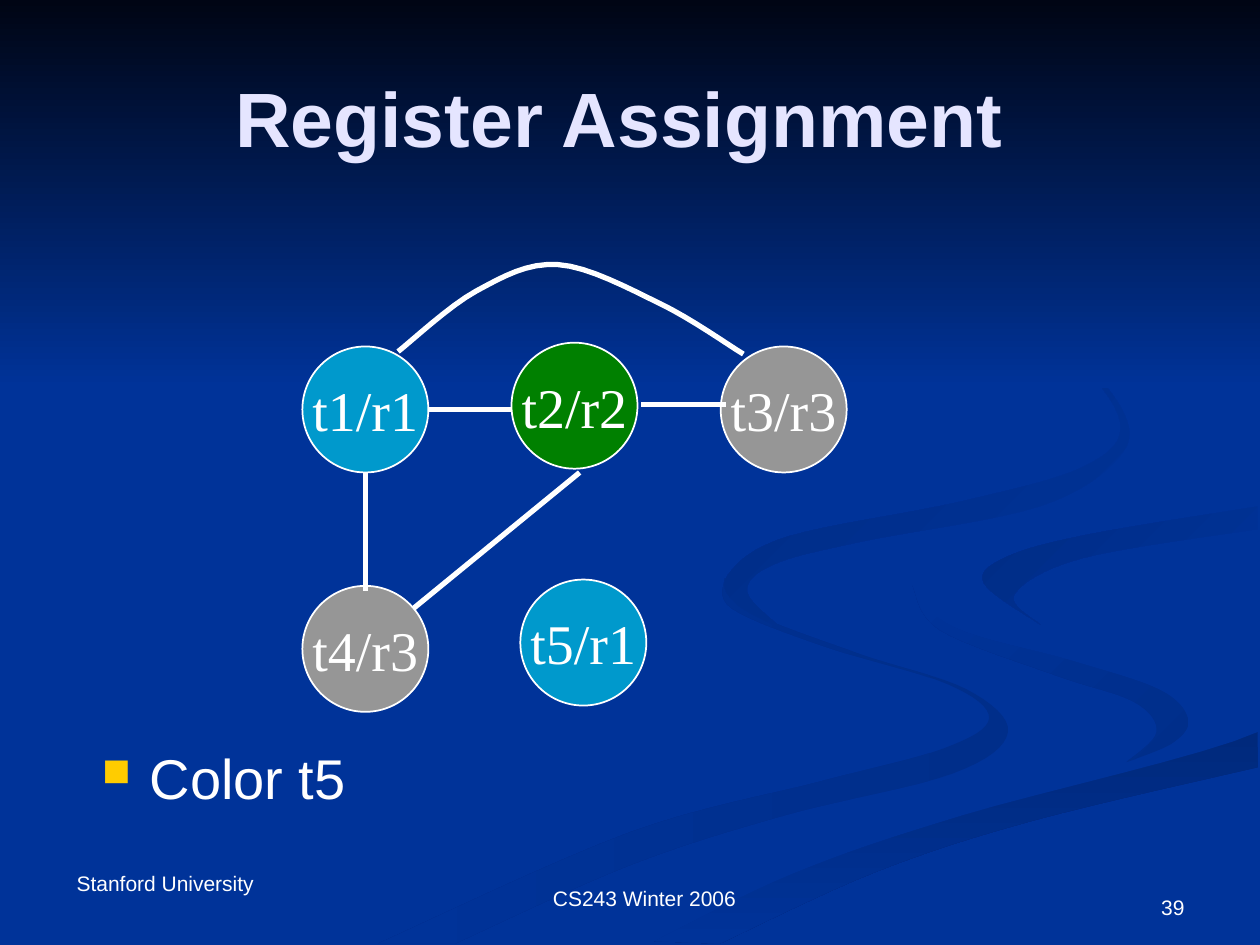
from lxml.etree import SubElement
from pptx import Presentation
from pptx.dml.color import RGBColor
from pptx.enum.shapes import MSO_CONNECTOR, MSO_SHAPE
from pptx.enum.text import MSO_ANCHOR, PP_ALIGN
from pptx.oxml.ns import qn
from pptx.util import Inches, Pt

CELL = Inches(0.1)
COLS, ROWS = 100, 75
WHITE, NAVY, LILAC, GOLD = "FFFFFF", "003399", "E5E5FF", "FFCC00"

SIZE, LEFT, STEP = 10, 24, 16.6
TONES = {"r1": "0099CC", "r2": "008000", "r3": "969696"}
NODES = {
    "t1": ("r1", LEFT, 27.5),
    "t2": ("r2", LEFT + STEP, 27.2),
    "t3": ("r3", LEFT + 2 * STEP, 27.5),
    "t4": ("r3", LEFT, 46.5),
    "t5": ("r1", 41.3, 46),
}
EDGES = [
    ("t1", (1, 0.5), "t2", (0, 0.53)),
    ("t1", (0.5, 1), "t4", (0.5, 0.04)),
    ("t2", (1.03, 0.49), "t3", (0.04, 0.46)),
    ("t4", (0.88, 0.18), "t2", (0.54, 1.03)),
]
ARCH = [(37.8, 23.1), (44.3, 21), (52.4, 24.1)]

CREST_OUT = [(76.2, 23.3), (84.3, 27.5), (89, 32.4), (88.9, 36.2), (82.5, 40.2),
             (68.3, 43), (61.4, 44.8), (59.3, 47), (62.2, 50)]
CREST_IN = [(76.2, 23.3), (84.6, 27.9), (88.9, 33.5), (86.1, 37), (76.3, 39.8),
            (62.5, 42.6), (57.8, 45.6), (58.4, 47.9), (62.2, 50)]
TAIL_OUT = [(57.5, 45.9), (59.4, 48.5), (68.2, 51.9), (76.7, 54.7), (80, 58.1),
            (75.6, 61.4), (62.3, 64.7), (49.9, 68.7), (36.1, 74.9)]
TAIL_IN = [(57.5, 45.9), (58.1, 48.3), (65.4, 51.3), (75.2, 54.3), (78.5, 57),
           (74.9, 59.4), (65.2, 62), (49.9, 66.1), (30, 74.9)]
FOLD_OUT = [(72.4, 46.4), (75.8, 49.8), (85, 52.4), (92, 54.7), (94.3, 57),
            (93.2, 58.9), (89.4, 60.5)]
FOLD_IN = [(72.4, 46.4), (74.6, 50), (83.8, 53.6), (90, 55.7), (91.8, 58.1),
           (89.4, 60.5)]
SHORE = [(51.9, 74.7), (63, 69.3), (76.4, 64.7), (99.8, 58.1)]
BEACH = [(57.1, 74.9), (69.5, 69.2), (82.1, 65.1), (99.8, 60.9)]
BAY_OUT = [(99.8, 40.2), (86.5, 42.4), (79.9, 44.2), (78.1, 46.3), (82.6, 49.6)]
BAY_IN = [(99.8, 42), (85.9, 44.3), (80.5, 47.2), (82.6, 49.6)]
BANK = [(99.8, 38.7), (83, 41.4), (74.2, 43.9), *FOLD_OUT, (74.3, 64.3), (47.7, 74.9)]
CAPE = [(99.8, 53.8), *BAY_OUT[:2:-1], *BAY_OUT[2::-1]]


def grid(*nums):
    """Turn columns and rows into slide lengths."""
    return [round(n * CELL) for n in nums]


def color(code):
    """Turn a hex string into a colour."""
    return RGBColor.from_string(code)


def paint(fill, tones, angle=0):
    """Fill with one tone or a gradient at a clockwise angle."""
    if len(tones) == 1:
        fill.solid()
        fill.fore_color.rgb = color(tones[0])
        return
    fill.gradient()
    fill.gradient_angle = -angle % 360
    for stop, tone in zip(fill.gradient_stops, tones):
        stop.color.rgb = color(tone)


def stroke(line, width):
    """Draw a white line."""
    line.color.rgb = color(WHITE)
    line.width = Pt(width)


def smooth(knots, steps=8):
    """List points on a Catmull-Rom curve through the knots."""
    ends = [knots[0], *knots, knots[-1]]
    curve = [knots[0]]
    for four in zip(ends, ends[1:], ends[2:], ends[3:]):
        for step in range(1, steps + 1):
            t = step / steps
            curve.append([
                b + t / 2 * (c - a + t * (2 * a - 5 * b + 4 * c - d
                                          + t * (3 * b - a - 3 * c + d)))
                for a, b, c, d in zip(*four)])
    return curve


def trace(slide, points, close):
    """Build a freeform through grid points."""
    first, *rest = [grid(*point) for point in points]
    pen = slide.shapes.build_freeform(*first)
    pen.add_line_segments(rest, close=close)
    shape = pen.convert_to_shape()
    shape.shadow.inherit = False
    return shape


def ribbon(slide, there, back, tones, angle=0):
    """Fill the band between two smooth edges."""
    shape = trace(slide, smooth(there) + smooth(back)[::-1], True)
    paint(shape.fill, tones, angle)
    shape.line.fill.background()


def scene(slide):
    """Draw the background from back to front."""
    paint(slide.background.fill, [NAVY])
    ribbon(slide, TAIL_OUT, TAIL_IN, ("002E8A", NAVY), 180)
    ribbon(slide, FOLD_OUT, FOLD_IN, ("002E8A", NAVY), 225)
    ribbon(slide, SHORE, BEACH, ("00297C", NAVY), 90)
    ribbon(slide, BANK, CAPE[::-1] + SHORE[::-1], [NAVY])
    ribbon(slide, BAY_OUT, BAY_IN, (NAVY, "002C85"), 225)
    ribbon(slide, CREST_OUT, CREST_IN, (NAVY, "002B81"), 225)
    sky = slide.shapes.add_shape(MSO_SHAPE.RECTANGLE, *grid(0, 0, COLS, 30.8))
    sky.shadow.inherit = False
    paint(sky.fill, ("000514", NAVY), 90)
    sky.line.fill.background()


def spot(name, share):
    """Find a place given as shares of a node's size."""
    corner = NODES[name][1:]
    return [start + SIZE * part for start, part in zip(corner, share)]


def edge(slide, tail, leave, head, reach):
    """Join two nodes with a straight line."""
    ends = grid(*spot(tail, leave), *spot(head, reach))
    link = slide.shapes.add_connector(MSO_CONNECTOR.STRAIGHT, *ends)
    stroke(link.line, 3)
    SubElement(link.element.spPr, qn("a:effectLst"))


def arc(slide):
    """Join the outer nodes of the top row over the middle one."""
    knots = [spot("t1", (0.76, 0.04)), *ARCH, spot("t3", (0.18, 0.06))]
    shape = trace(slide, smooth(knots), False)
    shape.fill.background()
    stroke(shape.line, 3)


def write(para, text, size, tone=WHITE, face="Arial", bold=False):
    """Add a run to a paragraph."""
    run = para.add_run()
    run.text = text
    font = run.font
    font.size, font.name, font.bold = Pt(size), face, bold
    font.color.rgb = color(tone)


def node(slide, name):
    """Add a circle in the tone of its register."""
    reg, left, top = NODES[name]
    shape = slide.shapes.add_shape(MSO_SHAPE.OVAL, *grid(left, top, SIZE, SIZE))
    shape.shadow.inherit = False
    paint(shape.fill, [TONES[reg]])
    stroke(shape.line, 1)
    frame = shape.text_frame
    frame.word_wrap = False
    frame.vertical_anchor = MSO_ANCHOR.MIDDLE
    para = frame.paragraphs[0]
    para.alignment = PP_ALIGN.CENTER
    write(para, f"{name}/{reg}", 32, face="Times New Roman")


def label(slide, area, align=PP_ALIGN.LEFT, anchor=MSO_ANCHOR.TOP):
    """Add a text box and return its paragraph."""
    frame = slide.shapes.add_textbox(*grid(*area)).text_frame
    frame.word_wrap = True
    frame.vertical_anchor = anchor
    para = frame.paragraphs[0]
    para.alignment = align
    return para


def bullet(para):
    """Give a paragraph a small square."""
    props = para._p.get_or_add_pPr()
    props.set("marL", str(Inches(0.38)))
    props.set("indent", str(-Inches(0.38)))
    tint = SubElement(props, qn("a:buClr"))
    SubElement(tint, qn("a:srgbClr"), val=GOLD)
    SubElement(props, qn("a:buSzPct"), val="70000")
    SubElement(props, qn("a:buChar"), char="■")


def main():
    """Build the slide."""
    deck = Presentation()
    deck.slide_width, deck.slide_height = grid(COLS, ROWS)
    slide = deck.slides.add_slide(deck.slide_layouts[6])
    scene(slide)
    write(label(slide, (42.9, 69.8, 18, 3)), "CS243 Winter 2006", 12)
    write(label(slide, (5.1, 68.6, 18.8, 3)), "Stanford University", 12)
    title = label(slide, (5, 3, 90, 12.5), PP_ALIGN.CENTER, MSO_ANCHOR.MIDDLE)
    write(title, "Register Assignment ", 44, LILAC, bold=True)
    for name in NODES:
        node(slide, name)
    for ends in EDGES:
        edge(slide, *ends)
    arc(slide)
    point = label(slide, (7.1, 58.5, 90, 10.6))
    bullet(point)
    write(point, "Color t5", 32)
    page = label(slide, (71.7, 68.3, 23.3, 5.2), PP_ALIGN.RIGHT, MSO_ANCHOR.BOTTOM)
    write(page, "39", 12)
    deck.save("out.pptx")


if __name__ == "__main__":
    main()
